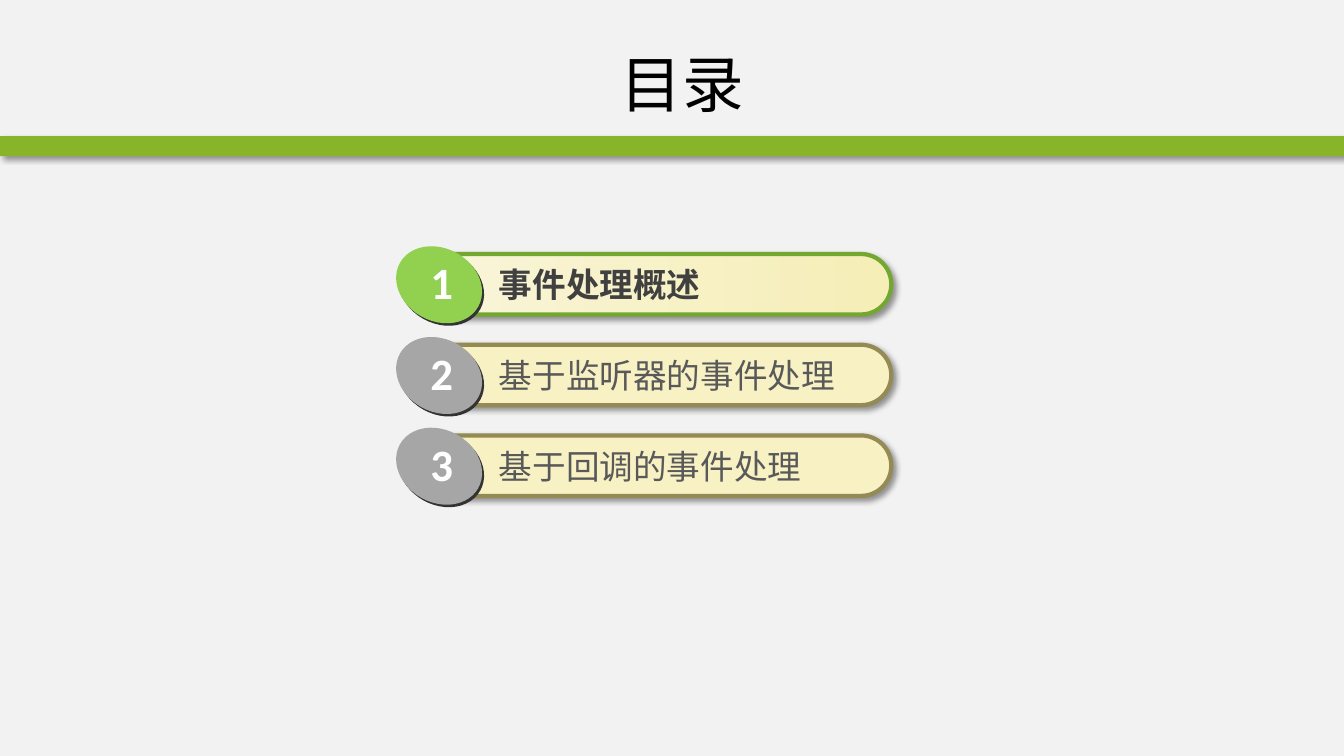
import pptx
import pptx.dml.color
import pptx.enum.shapes
import pptx.enum.text
import pptx.oxml
import pptx.oxml.ns
import pptx.util

SHAPE = pptx.enum.shapes.MSO_SHAPE
ANCHOR = pptx.enum.text.MSO_ANCHOR
ALIGN = pptx.enum.text.PP_ALIGN
AUTO_SIZE = pptx.enum.text.MSO_AUTO_SIZE
CJK = "Noto Sans CJK SC"
SHADOW = (
    '<a:outerShdw %s blurRad="50800" dist="38100" dir="2700000" algn="tl" rotWithShape="0">'
    '<a:srgbClr val="000000"><a:alpha val="40000"/></a:srgbClr></a:outerShdw>'
    % pptx.oxml.ns.nsdecls("a")
)


def rgb(color):
    return pptx.dml.color.RGBColor.from_string(color)


class Deck:
    """Places elements on the current slide, ten grid columns and rows to the inch."""

    COLS, ROWS = 133.3, 75
    CELL = pptx.util.Inches(0.1)

    def __init__(self):
        self.prs = pptx.Presentation()
        self.prs.slide_width = self.length(self.COLS)
        self.prs.slide_height = self.length(self.ROWS)
        self.s = self.prs.slides.add_slide(self.prs.slide_layouts[5])

    def length(self, cells):
        return int(round(cells * self.CELL))

    def box(self, *cells):
        return [self.length(c) for c in cells]

    def background(self, color):
        fill = self.s.background.fill
        fill.solid()
        fill.fore_color.rgb = rgb(color)

    def group(self):
        return self.s.shapes.add_group_shape().shapes

    def title(self, text, at, **style):
        sp = self.s.shapes.title
        sp.left, sp.top, sp.width, sp.height = self.box(*at)
        sp.text_frame.vertical_anchor = ANCHOR.MIDDLE
        self.add_run(sp.text_frame, text, ALIGN.CENTER, **style)

    def shape(self, shapes, kind, at, fill, line=None, shadow=False, rotation=0):
        """Draw a preset shape; a pair of fill colours makes a left-to-right gradient."""
        sp = shapes.add_shape(kind, *self.box(*at))
        sp.rotation = rotation
        sp.shadow.inherit = False
        if isinstance(fill, tuple):
            sp.fill.gradient()
            sp.fill.gradient_angle = 0
            for stop, color, position in zip(sp.fill.gradient_stops, fill, (0, 1)):
                stop.color.rgb = rgb(color)
                stop.position = position
        else:
            sp.fill.solid()
            sp.fill.fore_color.rgb = rgb(fill)
        if line:
            sp.line.color.rgb = rgb(line)
            sp.line.width = pptx.util.Pt(3)
        else:
            sp.line.fill.background()
        if shadow:
            effects = sp._element.spPr.find(pptx.oxml.ns.qn("a:effectLst"))
            effects.append(pptx.oxml.parse_xml(SHADOW))
        return sp

    def text(self, shapes, text, at, wrap=True, **style):
        tf = shapes.add_textbox(*self.box(*at)).text_frame
        tf.word_wrap = wrap
        tf.auto_size = AUTO_SIZE.SHAPE_TO_FIT_TEXT
        self.add_run(tf, text, ALIGN.LEFT, **style)

    def add_run(self, tf, text, align, color, **style):
        p = tf.paragraphs[0]
        p.alignment = align
        r = p.add_run()
        r.text = text
        for name, value in style.items():
            setattr(r.font, name, value)
        r.font.color.rgb = rgb(color)
        ea = pptx.oxml.parse_xml(
            '<a:ea %s typeface="%s"/>' % (pptx.oxml.ns.nsdecls("a"), style["name"]))
        r._r.get_or_add_rPr().find(pptx.oxml.ns.qn("a:latin")).addnext(ea)

    def agenda_item(self, number, text, top, active):
        """Draw one numbered pill; the active one is green and bold."""
        shapes = self.group()
        fill = ("F9F5D9", "F5EEB7") if active else "F7F1C4"
        pill = self.shape(shapes, SHAPE.ROUNDED_RECTANGLE, (41.3, top, 47.1, 6),
                          fill, "74A731" if active else "948A54", shadow=True)
        pill.adjustments[0] = 0.5
        self.text(shapes, text, (48.5, top + 0.5, 37.5, 5.1), name=CJK,
                  size=pptx.util.Pt(24), bold=active,
                  color="404040" if active else "595959")
        badge = "92D050" if active else "A6A6A6"
        for left, rise, color in ((39.3, 0.3, "333333"), (39.1, 0.55, badge)):
            self.shape(shapes, SHAPE.OVAL, (left, top - rise, 8.9, 7.2), color, rotation=29.3)
        self.text(shapes, str(number), (41.7, top - 0.4, 4.3, 6.4), wrap=False,
                  name="Calibri", size=pptx.util.Pt(32), bold=True, color="FFFFFF")


def main():
    deck = Deck()
    deck.background("F2F2F2")
    deck.shape(deck.s.shapes, SHAPE.RECTANGLE, (0, 13.5, deck.COLS, 2), "88B429", shadow=True)
    deck.title("目录", (13.9, 3, 107.6, 10.5), name=CJK,
               size=pptx.util.Pt(44), color="000000")
    items = ("事件处理概述", "基于监听器的事件处理", "基于回调的事件处理")
    for i, text in enumerate(items):
        deck.agenda_item(i + 1, text, top=25.2 + 9 * i, active=i == 0)
    deck.prs.save("out.pptx")


if __name__ == "__main__":
    main()
